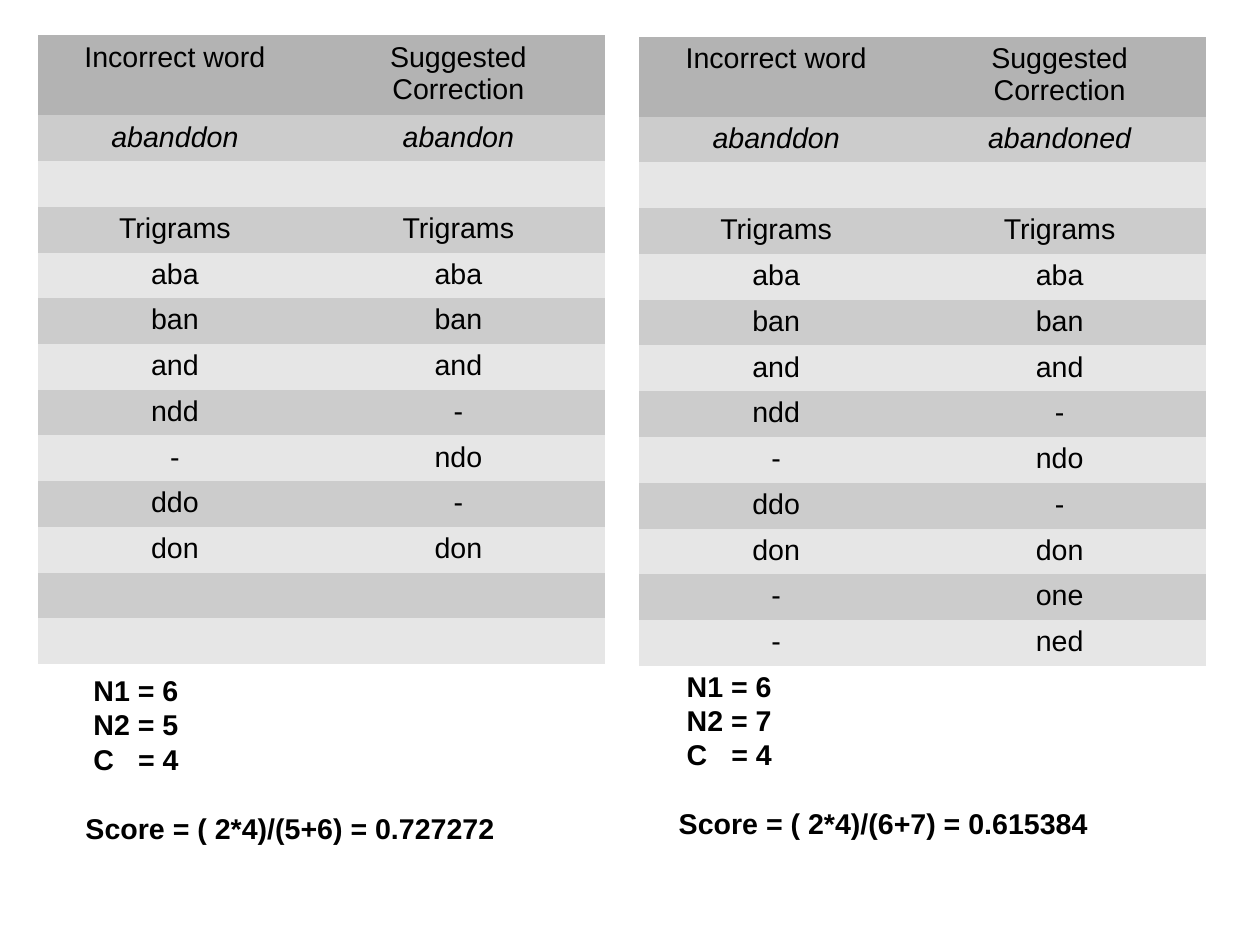
from lxml.etree import SubElement
from pptx import Presentation
from pptx.dml.color import RGBColor
from pptx.enum.text import MSO_ANCHOR, PP_ALIGN
from pptx.oxml import parse_xml
from pptx.oxml.ns import nsdecls, qn
from pptx.util import Inches, Pt

FONT, SIZE = "Arial", 18
CM_PER_INCH = 2.54
HEADER_FILL, BAND_FILLS = "B3B3B3", ("E6E6E6", "CCCCCC")
NO_STYLE_NO_GRID = "{2D5ABB26-0587-4C30-8999-92F81FD0307C}"
COLUMN_WIDTHS = (2.4, 2.56)
EQUALS_TAB = 0.46

HEADER = ("Incorrect word", "Suggested Correction")
WORD_ROW = 1
SHARED_TRIGRAMS = [
    ("", ""), ("Trigrams", "Trigrams"), ("aba", "aba"), ("ban", "ban"),
    ("and", "and"), ("ndd", "-"), ("-", "ndo"), ("ddo", "-"), ("don", "don"),
]

COMPARISONS = [
    {
        "table_at": (0.33, 0.31), "row_heights": (0.7, 0.4),
        "words": ("abanddon", "abandon"),
        "extra": [("", ""), ("", "")],
        "score_at": (0.65, 5.84, 4.9, 1.5),
        "counts": (6, 5, 4),
        "score": "Score = ( 2*4)/(5+6) = 0.727272",
    },
    {
        "table_at": (5.59, 0.32), "row_heights": (0.66, 0.38),
        "words": ("abanddon", "abandoned"),
        "extra": [("-", "one"), ("-", "ned")],
        "score_at": (5.84, 5.8, 4.9, 1.5),
        "counts": (6, 7, 4),
        "score": "Score = ( 2*4)/(6+7) = 0.615384",
    },
]


def rgb(hex_colour):
    return RGBColor.from_string(hex_colour)


def style_font(font, bold=False, italic=False):
    font.name, font.size = FONT, Pt(SIZE)
    font.bold, font.italic = bold, italic
    font.color.rgb = rgb("000000")


def set_cell_defaults(cell):
    """Give the cell's font to its list style and paragraph end, so empty rows keep it."""
    body = cell.text_frame._txBody
    level = SubElement(body.find(qn("a:lstStyle")), qn("a:lvl1pPr"))
    para_end = cell.text_frame.paragraphs[0]._p
    for parent, tag in ((level, "a:defRPr"), (para_end, "a:endParaRPr")):
        defaults = SubElement(parent, qn(tag), sz=str(SIZE * 100))
        SubElement(defaults, qn("a:latin"), typeface=FONT)


def add_trigram_table(page, left, top, row_heights, rows):
    header_height, body_height = row_heights
    heights = [header_height] + [body_height] * (len(rows) - 1)
    frame = page.shapes.add_table(
        len(rows), len(COLUMN_WIDTHS), Inches(left), Inches(top),
        Inches(sum(COLUMN_WIDTHS)), Inches(sum(heights)))
    for style_id in frame._element.iter(qn("a:tableStyleId")):
        style_id.text = NO_STYLE_NO_GRID
    table = frame.table
    table.first_row = table.horz_banding = False
    for column, width in zip(table.columns, COLUMN_WIDTHS):
        column.width = Inches(width)
    for index, (row, words) in enumerate(zip(table.rows, rows)):
        row.height = Inches(heights[index])
        for cell, word in zip(row.cells, words):
            cell.fill.solid()
            cell.fill.fore_color.rgb = rgb(BAND_FILLS[index % 2] if index else HEADER_FILL)
            cell.vertical_anchor = MSO_ANCHOR.TOP
            para = cell.text_frame.paragraphs[0]
            para.text = word
            para.alignment = PP_ALIGN.CENTER
            for span in para.runs:
                style_font(span.font, italic=index == WORD_ROW)
            set_cell_defaults(cell)


def add_score(page, left, top, width, height, counts, score):
    """Add the trigram counts with the similarity score under them."""
    box = page.shapes.add_textbox(Inches(left), Inches(top), Inches(width), Inches(height))
    frame = box.text_frame
    frame.word_wrap = True
    n1, n2, common = counts
    lines = [f" N1 = {n1}", f" N2 = {n2}", f" C\t= {common}", score]
    frame.text = "\n".join(lines)
    for para in frame.paragraphs:
        if "\t" in para.text:
            para._p.get_or_add_pPr().append(parse_xml(
                f'<a:tabLst {nsdecls("a")}>'
                f'<a:tab pos="{Inches(EQUALS_TAB)}" algn="l"/></a:tabLst>'))
        for span in para.runs:
            style_font(span.font, bold=True)
    frame.paragraphs[-1].space_before = Pt(21.7)


def add_comparison(page, comparison):
    rows = [HEADER, comparison["words"], *SHARED_TRIGRAMS, *comparison["extra"]]
    add_trigram_table(page, *comparison["table_at"], comparison["row_heights"], rows)
    add_score(page, *comparison["score_at"], comparison["counts"], comparison["score"])


def main():
    deck = Presentation()
    deck.slide_width = Inches(28 / CM_PER_INCH)
    deck.slide_height = Inches(21 / CM_PER_INCH)
    page = deck.slides.add_slide(deck.slide_layouts[6])
    for comparison in COMPARISONS:
        add_comparison(page, comparison)
    deck.save("out.pptx")


if __name__ == "__main__":
    main()
